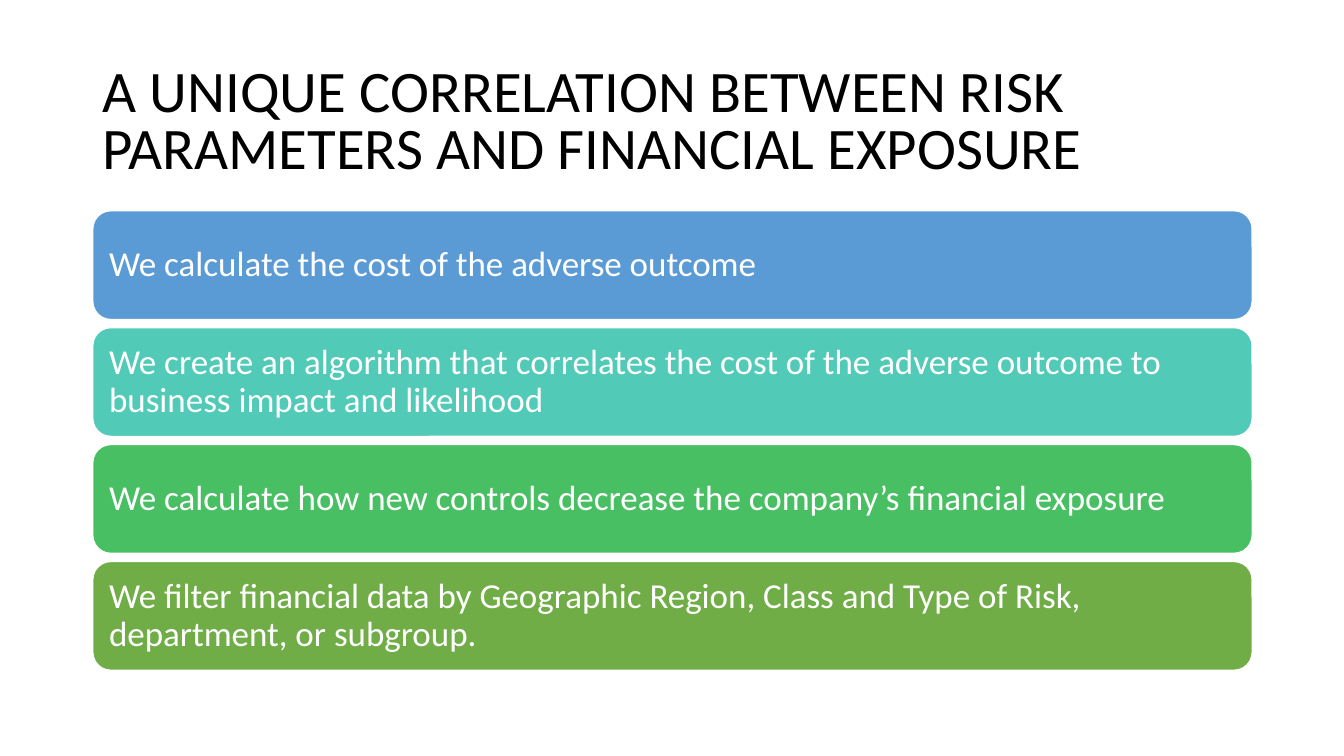
from pptx import Presentation
from pptx.dml.color import RGBColor
from pptx.enum.shapes import MSO_SHAPE as Shape
from pptx.enum.text import MSO_ANCHOR as Anchor, PP_ALIGN as Align
from pptx.util import Inches, Pt

BLACK = RGBColor(0x00, 0x00, 0x00)
WHITE = RGBColor(0xFF, 0xFF, 0xFF)
BLUE = RGBColor(0x5B, 0x9B, 0xD5)
TEAL = RGBColor(0x52, 0xCA, 0xB8)
GREEN = RGBColor(0x49, 0xBF, 0x64)
OLIVE = RGBColor(0x70, 0xAD, 0x47)

LEFT, WIDTH = 0.92, 11.5
STEP_TOP, STEP_HEIGHT, STEP_GAP = 2.09, 1.08, 0.08

HEADING = "A UNIQUE CORRELATION BETWEEN RISK PARAMETERS AND FINANCIAL EXPOSURE"
STEPS = [
    ("We calculate the cost of the adverse outcome", BLUE),
    ("We create an algorithm that correlates the cost of the adverse outcome "
     "to business impact and likelihood", TEAL),
    ("We calculate how new controls decrease the company’s financial exposure",
     GREEN),
    ("We filter financial data by Geographic Region, Class and Type of Risk, "
     "department, or subgroup.", OLIVE),
]


class SlideBuilder:
    """Holds the text style and the current slide."""

    font_name = "Calibri"

    def __init__(self, slide):
        """Keep the slide that receives the elements."""
        self.slide = slide

    def set_text(self, frame, text, size, color, spacing):
        """Fill a text frame with one left-aligned, vertically centred paragraph."""
        frame.word_wrap = True
        frame.vertical_anchor = Anchor.MIDDLE
        paragraph = frame.paragraphs[0]
        paragraph.text = text
        paragraph.alignment = Align.LEFT
        paragraph.line_spacing = spacing
        paragraph.font.name = self.font_name
        paragraph.font.size = Pt(size)
        paragraph.font.color.rgb = color
        return paragraph

    def title(self, text, top, height):
        """Add the slide heading."""
        heading = self.slide.shapes.add_textbox(
            Inches(LEFT), Inches(top), Inches(WIDTH), Inches(height))
        self.set_text(heading.text_frame, text, 42, BLACK, 0.8)

    def step(self, text, top, color):
        """Add one rounded bar with its statement."""
        bar = self.slide.shapes.add_shape(
            Shape.ROUNDED_RECTANGLE, Inches(LEFT), Inches(top),
            Inches(WIDTH), Inches(STEP_HEIGHT))
        bar.shadow.inherit = False
        bar.fill.solid()
        bar.fill.fore_color.rgb = color
        bar.line.color.rgb = WHITE
        bar.line.width = Pt(1)
        frame = bar.text_frame
        frame.margin_left = frame.margin_right = Inches(0.11)
        frame.margin_top = frame.margin_bottom = Inches(0.11)
        self.set_text(frame, text, 25, WHITE, 0.9).space_after = Pt(11)


def main():
    """Build the slide and save it."""
    deck = Presentation()
    deck.slide_width, deck.slide_height = Inches(13.33), Inches(7.5)
    builder = SlideBuilder(deck.slides.add_slide(deck.slide_layouts[6]))
    builder.title(HEADING, 0.61, 1.24)
    for index, (statement, color) in enumerate(STEPS):
        builder.step(statement, STEP_TOP + index * (STEP_HEIGHT + STEP_GAP), color)
    deck.save("out.pptx")


main()
